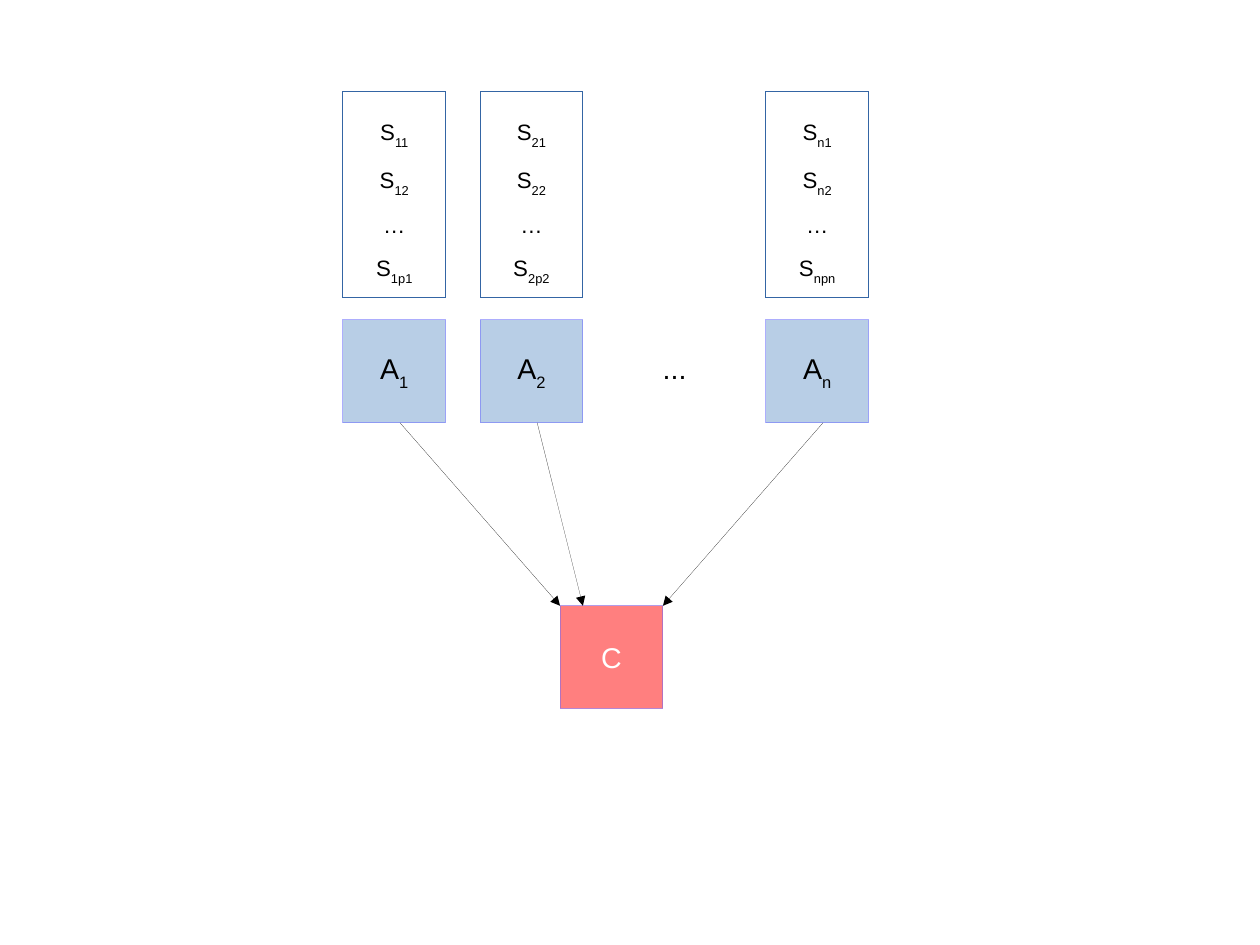
"""Build a slide where agents with their own sources point to one centre."""
from dataclasses import dataclass

from lxml.etree import SubElement
from pptx import Presentation
from pptx.dml.color import RGBColor
from pptx.enum.shapes import MSO_CONNECTOR as Connector, MSO_SHAPE as Shape
from pptx.enum.text import MSO_ANCHOR as Anchor, MSO_AUTO_SIZE as AutoSize, PP_ALIGN as Align
from pptx.oxml.ns import qn
from pptx.util import Inches, Pt


@dataclass(frozen=True)
class Theme:
    font: str = "Arial"
    label_size: int = 18
    source_size: int = 14
    black: str = "000000"
    white: str = "FFFFFF"
    agent_fill: str = "729FCF"
    center_fill: str = "FF0000"
    node_line: str = "6666FF"
    source_line: str = "3465A4"
    opacity: int = 50


class Diagram:
    def __init__(self, slide, theme):
        self.slide = slide
        self.theme = theme

    def add_run(self, paragraph, text, size, color, subscript=False):
        run = paragraph.add_run()
        run.text = text
        run.font.name = self.theme.font
        run.font.size = Pt(size)
        run.font.color.rgb = RGBColor.from_string(color)
        if subscript:
            run.font._element.set("baseline", "-33000")

    def hairline(self, shape, color):
        shape.line.color.rgb = RGBColor.from_string(color)
        shape.line.width = Pt(0)
        shape._element.remove(shape._element.find(qn("p:style")))

    def box(self, left, top, width, height, line, fill=None):
        shape = self.slide.shapes.add_shape(
            Shape.RECTANGLE, Inches(left), Inches(top), Inches(width), Inches(height))
        shape.shadow.inherit = False
        self.hairline(shape, line)
        if fill:
            shape.fill.solid()
            shape.fill.fore_color.rgb = RGBColor.from_string(fill)
            for color in shape._element.spPr.iter(qn("a:srgbClr")):
                SubElement(color, qn("a:alpha"), val=str(self.theme.opacity * 1000))
        else:
            shape.fill.background()
        shape.text_frame.word_wrap = False
        shape.text_frame.vertical_anchor = Anchor.MIDDLE
        return shape

    def write_lines(self, shape, lines, size, color, spacing=None):
        frame = shape.text_frame
        for index, (text, subscript) in enumerate(lines):
            paragraph = frame.add_paragraph() if index else frame.paragraphs[0]
            paragraph.alignment = Align.CENTER
            if spacing:
                paragraph.line_spacing = spacing
            self.add_run(paragraph, text, size, color)
            if subscript:
                self.add_run(paragraph, subscript, size, color, subscript=True)

    def node(self, left, top, side, fill, color, text, subscript=""):
        shape = self.box(left, top, side, side, self.theme.node_line, fill)
        self.write_lines(shape, [(text, subscript)], self.theme.label_size, color)

    def source_list(self, left, top, width, height, lines):
        shape = self.box(left, top, width, height, self.theme.source_line)
        self.write_lines(shape, lines, self.theme.source_size, self.theme.black, 1.5)

    def label(self, left, top, width, height, text):
        box = self.slide.shapes.add_textbox(
            Inches(left), Inches(top), Inches(width), Inches(height))
        box.text_frame.word_wrap = True
        box.text_frame.auto_size = AutoSize.SHAPE_TO_FIT_TEXT
        self.add_run(box.text_frame.paragraphs[0], text,
                     self.theme.label_size, self.theme.black)

    def arrow(self, start, end):
        connector = self.slide.shapes.add_connector(
            Connector.STRAIGHT, *map(Inches, start + end))
        self.hairline(connector, self.theme.black)
        SubElement(connector.line._get_or_add_ln(), qn("a:tailEnd"), type="triangle")
        SubElement(connector._element.spPr, qn("a:effectLst"))


def main():
    presentation = Presentation()
    presentation.slide_width = Inches(28 / 2.54)
    presentation.slide_height = Inches(21 / 2.54)
    theme = Theme()
    diagram = Diagram(presentation.slides.add_slide(presentation.slide_layouts[6]), theme)

    side, source_top, agent_top, center_top = 0.9, 0.8, 2.8, 5.3
    columns = [("1", 3.0, 4.9), ("2", 4.2, 5.1), ("n", 6.7, 5.8)]

    for name, left, _ in columns:
        diagram.node(left, agent_top, side, theme.agent_fill, theme.black, "A", name)
    for name, left, _ in columns:
        sources = [("S", f"{name}1"), ("S", f"{name}2"), ("…", ""), ("S", f"{name}p{name}")]
        diagram.source_list(left, source_top, side, 2 * side, sources)
    diagram.label(5.7, 3.02, 1, 0.38, "...")
    diagram.node(4.9, center_top, side, theme.center_fill, theme.white, "C")
    for _, left, arrow_end in columns:
        diagram.arrow((left + 0.5, agent_top + side), (arrow_end, center_top))

    presentation.save("out.pptx")


if __name__ == "__main__":
    main()
